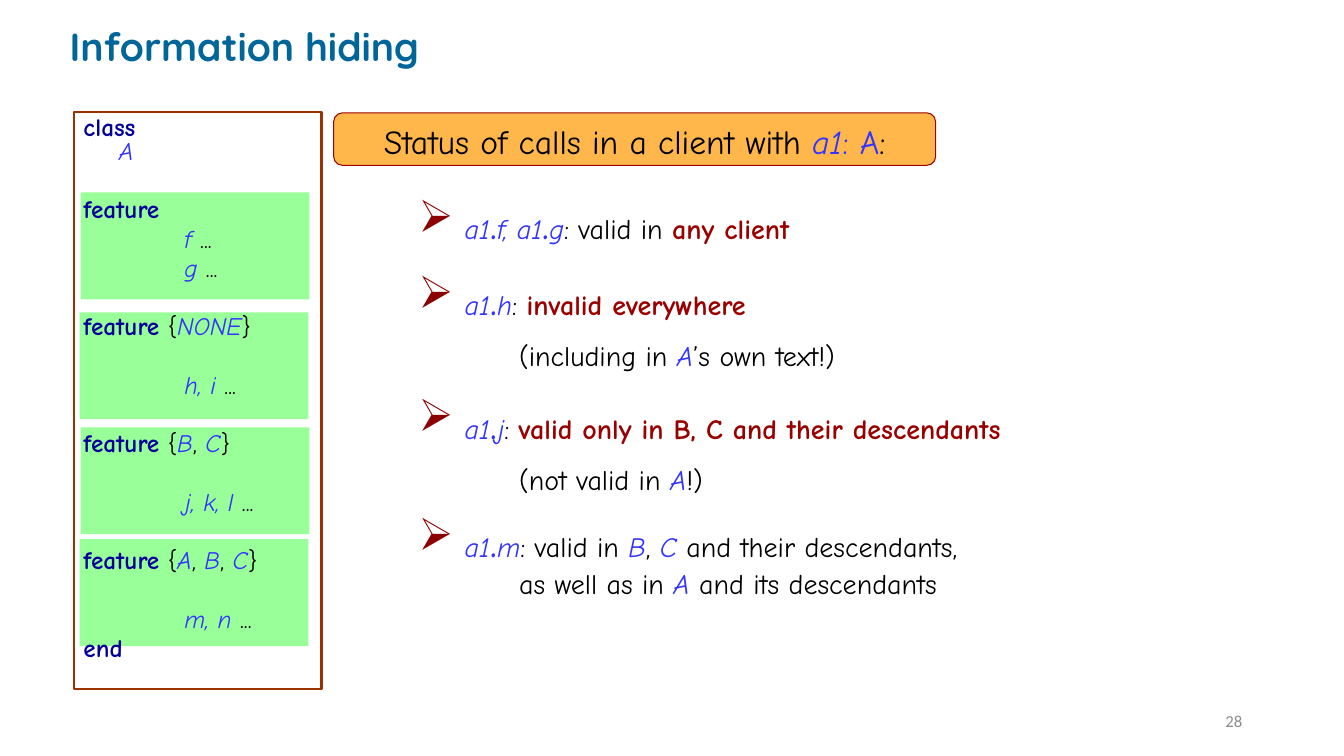
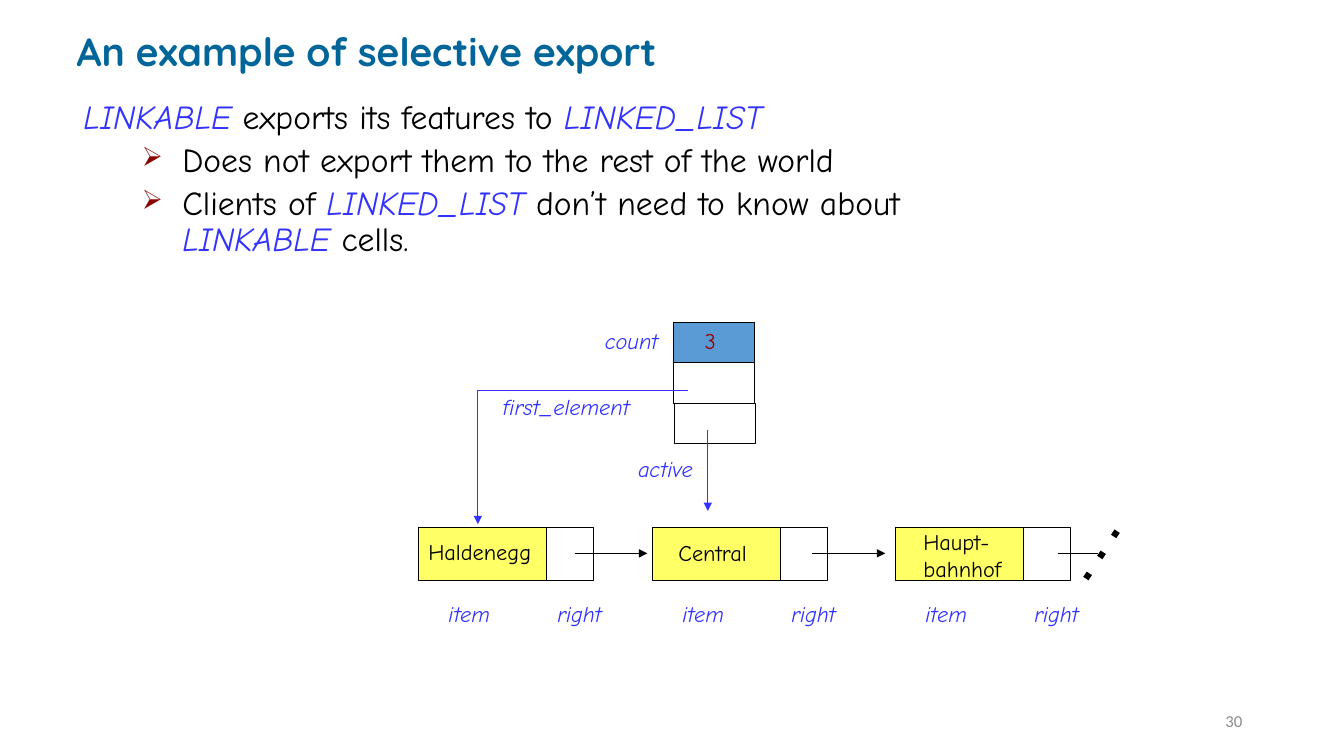
from lxml import etree
from pptx import Presentation
from pptx.dml.color import RGBColor
from pptx.enum.shapes import MSO_CONNECTOR, MSO_SHAPE
from pptx.enum.text import MSO_ANCHOR, PP_ALIGN
from pptx.oxml.ns import qn
from pptx.util import Inches, Pt

# Shared look
BLACK, BLUE, NAVY, RED = "000000", "3333FF", "000099", "990000"
BODY = "Comic Neue"
INSETS = (0.1, 0.05, 0.1, 0.05)
PLAIN = {"color": BLACK}
VAR = {"color": BLUE, "italic": True}
UPRIGHT = {"color": BLUE}
DOT = {"color": BLUE, "size": 32}
KEY = {"color": NAVY, "bold": True}
STRONG = {"color": RED, "bold": True}
TITLE = {"color": "006699", "bold": True, "size": 28, "name": "Quicksand"}
NUMBER = {"color": "8C8C8C", "size": 12, "name": "Calibri"}


def call(feature):
    return [(VAR, "a1"), (DOT, "."), (VAR, feature)]


# Content: information hiding
BANNER = [(PLAIN, "Status of calls in a client with "), (VAR, "a1"),
          (UPRIGHT, ": A"), (PLAIN, ":")]
FEATURE_GROUPS = [  # box left, box top, clients, feature lines
    (0.8, 1.91, [], ["f", "g"]),
    (0.79, 3.1, ["NONE"], ["h, i"]),
    (0.8, 4.24, ["B", "C"], ["j, k, l"]),
    (0.79, 5.35, ["A", "B", "C"], ["m, n"]),
]
STATUS = [  # space before, bulleted, runs
    (0, True, call("f") + [(VAR, ", ")] + call("g")
     + [(PLAIN, ": valid in "), (STRONG, "any client")]),
    (16, True, call("h") + [(PLAIN, ": "), (STRONG, "invalid everywhere")]),
    (10, False, [(PLAIN, "(including in "), (VAR, "A"),
                 (PLAIN, "’s own text!)")]),
    (16, True, call("j") + [(PLAIN, ": "),
     (STRONG, "valid only in B, C and their descendants")]),
    (10, False, [(PLAIN, "(not valid in "), (VAR, "A"), (PLAIN, "!)")]),
    (12, True, call("m") + [(PLAIN, ": valid in "), (VAR, "B"), (PLAIN, ", "),
     (VAR, "C"), (PLAIN, " and their descendants,")]),
    (0, False, [(PLAIN, "as well as in "), (VAR, "A"),
                (PLAIN, " and its descendants")]),
]

# Content: selective export
EXPORT_HEAD = [(VAR, "LINKABLE"), (PLAIN, " exports its features to "),
               (VAR, "LINKED_LIST")]
EXPORT_POINTS = [
    [(PLAIN, "Does not export them to the rest of the world")],
    [(PLAIN, "Clients of "), (VAR, "LINKED_LIST"),
     (PLAIN, " don’t need to know about "), (VAR, "LINKABLE"),
     (PLAIN, " cells.")],
]
CELLS = [  # lines, left, text left, text top, link start, link end, arrow
    (["Haldenegg"], 4.15, 4.15, 5.29, 5.7, 6.42, True),
    (["Central"], 6.47, 6.63, 5.3, 8.05, 8.78, True),
    (["Haupt-", "bahnhof"], 8.88, 9.06, 5.19, 10.49, 10.89, False),
]
LIST_FIELDS = [(6.68, 3.2, "5B9BD5"), (6.68, 3.6, None), (6.69, 4, None)]
LABELS = [("count", 5.9, 3.2, 0.87, VAR), ("3", 6.89, 3.2, 0.87, STRONG | {"bold": False}),
          ("first_element", 4.89, 3.85, 2.34, VAR),
          ("active", 6.23, 4.47, 0.87, VAR)]
REFERENCES = [  # from, to, arrow
    ((6.82, 3.87), (4.74, 3.87), False),
    ((4.74, 3.87), (4.74, 5.2), True),
    ((7.02, 4.27), (7.02, 5.07), True),
]


# Helpers
def rgb(value):
    return RGBColor.from_string(value)


def child(parent, tag, **attrs):
    return etree.SubElement(parent, qn(tag), attrs)


def para(runs, **fmt):
    return runs, fmt


def bullet(p, percent):
    pPr = p._p.get_or_add_pPr()
    child(child(pPr, "a:buClr"), "a:srgbClr", val="8B0000")
    child(pPr, "a:buSzPct", val=str(percent * 1000))
    child(pPr, "a:buChar", char="➢")


def write(sp, paras, size=16, insets=INSETS, anchor=MSO_ANCHOR.TOP):
    tf = sp.text_frame
    tf.word_wrap = True
    tf.vertical_anchor = anchor
    for side, gap in zip(("left", "top", "right", "bottom"), insets):
        setattr(tf, "margin_" + side, Inches(gap))
    for i, (runs, fmt) in enumerate(paras):
        p = tf.add_paragraph() if i else tf.paragraphs[0]
        p.alignment = fmt.get("align", PP_ALIGN.LEFT)
        p.line_spacing = fmt.get("spacing", 1.0)
        p.space_before = Pt(fmt.get("before", 0))
        pPr = p._p.get_or_add_pPr()
        pPr.set("marL", str(Inches(fmt.get("left", 0))))
        pPr.set("indent", str(Inches(fmt.get("hang", 0))))
        if "bullet" in fmt:
            bullet(p, fmt["bullet"])
        for style, text in runs:
            r = p.add_run()
            r.text = text
            look = {"name": BODY, "size": size, "bold": False,
                    "italic": False} | style
            r.font.color.rgb = rgb(look.pop("color"))
            look["size"] = Pt(look["size"])
            for key, value in look.items():
                setattr(r.font, key, value)


def text(s, x, y, w, h, paras, **fmt):
    box = s.shapes.add_textbox(*map(Inches, (x, y, w, h)))
    write(box, paras, **fmt)


def box(s, x, y, w, h, fill=None, line=None, width=0.75, kind=MSO_SHAPE.RECTANGLE):
    sp = s.shapes.add_shape(kind, *map(Inches, (x, y, w, h)))
    sp.shadow.inherit = False
    if fill:
        sp.fill.solid()
        sp.fill.fore_color.rgb = rgb(fill)
    else:
        sp.fill.background()
    if line:
        sp.line.color.rgb = rgb(line)
        sp.line.width = Pt(width)
    else:
        sp.line.fill.background()
    return sp


def link(s, start, end, color=BLACK, width=0.75, arrow=False, dash=None):
    c = s.shapes.add_connector(MSO_CONNECTOR.STRAIGHT, *map(Inches, start + end))
    c.line.color.rgb = rgb(color)
    c.line.width = Pt(width)
    ln = c.line._get_or_add_ln()
    if dash:
        child(ln, "a:prstDash", val=dash)
    if arrow:
        child(ln, "a:tailEnd", type="triangle")
    child(c._element.spPr, "a:effectLst")


def new_slide(title, place, number):
    s = prs.slides.add_slide(prs.slide_layouts[6])
    text(s, *place, [para([(TITLE, title)], spacing=0.9)],
         insets=(0, 0, 0, 0), anchor=MSO_ANCHOR.MIDDLE)
    text(s, 9.42, 6.95, 3, 0.4,
         [para([(NUMBER, number)], align=PP_ALIGN.RIGHT)],
         anchor=MSO_ANCHOR.MIDDLE)
    return s


prs = Presentation()
prs.slide_width, prs.slide_height = Inches(13.33), Inches(7.5)

# Slide: information hiding
s = new_slide("Information hiding", (0.69, 0.24, 8.69, 0.48), "28")
banner = box(s, 3.31, 1.12, 5.97, 0.52, "FF9900", RED,
             kind=MSO_SHAPE.ROUNDED_RECTANGLE)
child(banner._element.spPr.find(qn("a:solidFill"))[0], "a:alpha", val="70000")
write(banner, [para(BANNER, align=PP_ALIGN.CENTER)], size=24)

TIGHT, WIDE = 3.6, 24.5
code = [para([(KEY, "class")], spacing=0.8),
        para([(VAR, "A")], spacing=0.8, left=0.35)]
for x, y, clients, lines in FEATURE_GROUPS:
    box(s, x, y, 2.27, 1.06, "99FF99")
    head = [(KEY, "feature")]
    for i, client in enumerate(clients):
        head += [(PLAIN, ", " if i else " {"), (VAR, client)]
    if clients:
        head.append((PLAIN, "}"))
    code.append(para(head, spacing=0.8, before=WIDE))
    gap = WIDE if clients else TIGHT
    code += [para([(VAR, line), (PLAIN, " ...")], spacing=0.8, before=gap,
                  left=1) for line in lines]
code.append(para([(KEY, "end")], spacing=0.8, before=TIGHT))
write(box(s, 0.73, 1.11, 2.46, 5.73, line="993300", width=1.5), code, size=18)

BULLETED = {"left": 0.46, "hang": -0.46, "bullet": 160}
text(s, 4.05, 1.88, 7.02, 4.82,
     [para(runs, before=before, **(BULLETED if marked else {"left": 1}))
      for before, marked, runs in STATUS], size=20)

# Slide: selective export
s = new_slide("An example of selective export", (0.76, 0.28, 8.65, 0.51), "30")
points = [para(runs, spacing=0.9, before=4.8, left=0.98, hang=-0.4, bullet=80)
          for runs in EXPORT_POINTS]
text(s, 0.73, 0.95, 9.4, 6.17, [para(EXPORT_HEAD, spacing=0.9)] + points, size=24)

# List header and its references
for x, y, fill in LIST_FIELDS:
    box(s, x, y, 0.8, 0.4, fill, BLACK)
for start, end, arrow in REFERENCES:
    link(s, start, end, BLUE, arrow=arrow)
for label, x, y, w, style in LABELS:
    text(s, x, y, w, 0.37, [para([(style, label)])])

# Chained cells
for lines, x, text_x, text_y, start, end, arrow in CELLS:
    box(s, x, 5.23, 1.27, 0.53, "FFFF66", BLACK)
    box(s, x + 1.27, 5.23, 0.47, 0.53, line=BLACK)
    text(s, text_x, text_y, 1.34, 0.1 + 0.27 * len(lines),
         [para([(PLAIN, line)]) for line in lines])
    link(s, (start, 5.49), (end, 5.49), arrow=arrow)
    for label, offset, w in (("item", 0.2, 0.67), ("right", 1.28, 0.9)):
        text(s, x + offset, 5.9, w, 0.37, [para([(VAR, label)])])
link(s, (11.08, 5.27), (10.77, 5.74), width=4.5, dash="dot")

prs.save("out.pptx")
